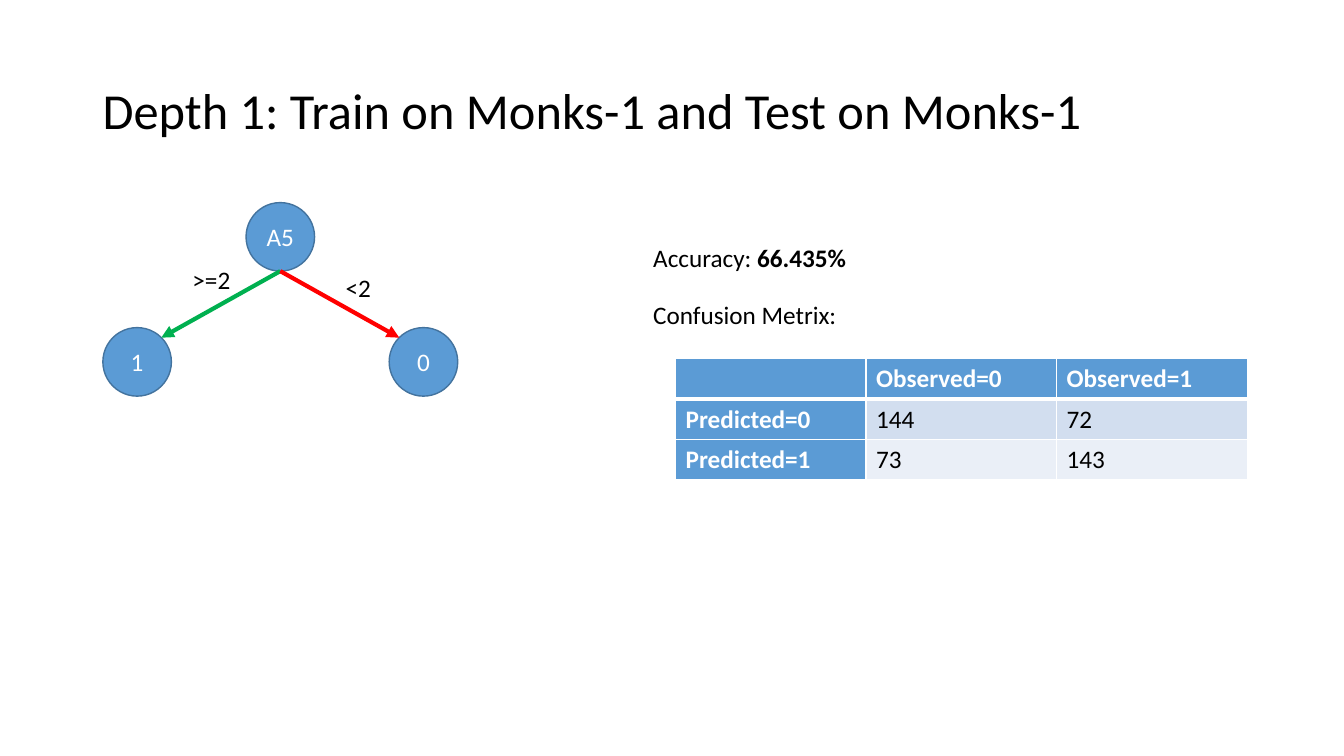
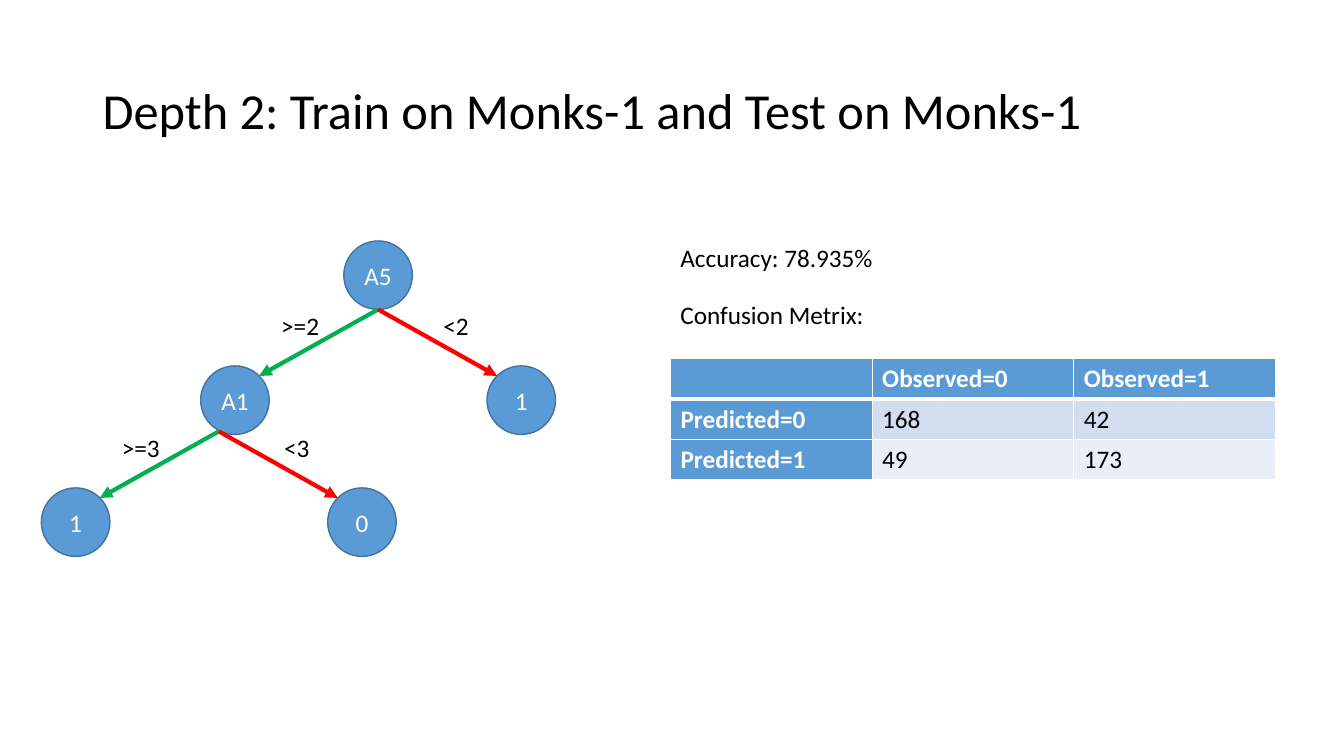
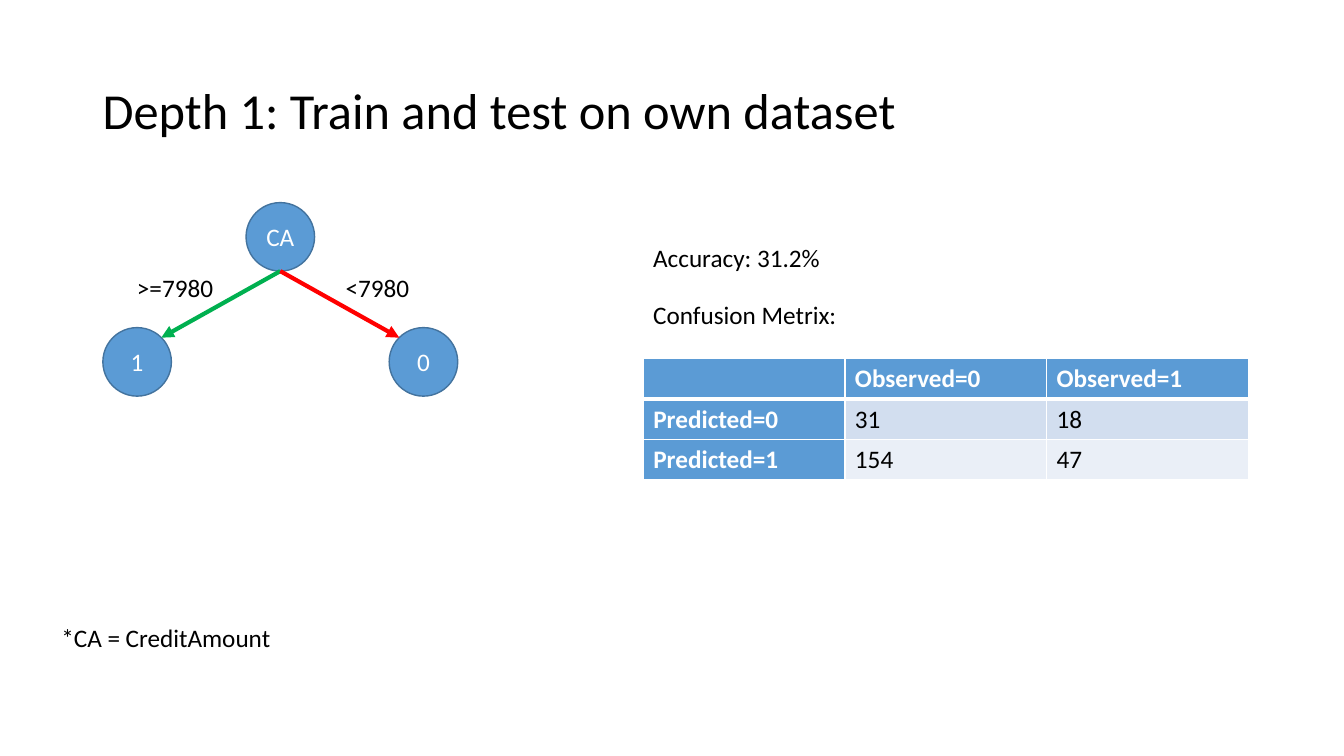
from lxml import etree
from pptx import Presentation, util as u
from pptx.dml.color import RGBColor
from pptx.enum import shapes, text
from pptx.oxml import ns

# Shared style
BLUE = RGBColor(0x5B, 0x9B, 0xD5)
OUTLINE = RGBColor(0x43, 0x73, 0x9E)
GREEN = RGBColor(0x00, 0xB0, 0x50)
RED = RGBColor(0xFF, 0x00, 0x00)
WHITE = RGBColor(0xFF, 0xFF, 0xFF)
BLACK = RGBColor(0x00, 0x00, 0x00)
BANDS = [RGBColor(0xD2, 0xDE, 0xEF), RGBColor(0xEA, 0xEF, 0xF7)]
FONT = "Calibri"
NODE = 0.68
BODY = {"size": u.Pt(18), "name": FONT, "bold": False}
HEAD = {"size": u.Pt(18), "name": FONT, "bold": True}
TITLE = {"size": u.Pt(36), "name": FONT, "bold": False}


class Deck:
    def __init__(self):
        self.prs = Presentation()
        self.prs.slide_width = u.Inches(13.33)
        self.prs.slide_height = u.Inches(7.5)
        self.s = None

    def run(self, p, words, fmt=BODY, color=BLACK):
        r = p.add_run()
        r.text = words
        for key, value in fmt.items():
            setattr(r.font, key, value)
        r.font.color.rgb = color

    def slide(self, title):
        self.s = self.prs.slides.add_slide(self.prs.slide_layouts[6])
        sp = self.s.shapes.add_textbox(*map(u.Inches, (0.92, 0.4, 11.5, 1.45)))
        tf = sp.text_frame
        tf.word_wrap = True
        tf.vertical_anchor = text.MSO_ANCHOR.MIDDLE
        tf.paragraphs[0].line_spacing = 0.9
        self.run(tf.paragraphs[0], title, TITLE)

    def label(self, x, y, w, *parts, wrap=False):
        """Parts are (words, format) pairs on one line."""
        sp = self.s.shapes.add_textbox(*map(u.Inches, (x, y, w, 0.4)))
        tf = sp.text_frame
        tf.word_wrap = wrap
        tf.auto_size = text.MSO_AUTO_SIZE.SHAPE_TO_FIT_TEXT
        for words, fmt in parts:
            self.run(tf.paragraphs[0], words, fmt)

    def node(self, x, y, words):
        sp = self.s.shapes.add_shape(shapes.MSO_SHAPE.OVAL,
                                     *map(u.Inches, (x, y, NODE, NODE)))
        sp.shadow.inherit = False
        sp.fill.solid()
        sp.fill.fore_color.rgb = BLUE
        sp.line.color.rgb = OUTLINE
        sp.line.width = u.Pt(1)
        tf = sp.text_frame
        tf.word_wrap = False
        tf.vertical_anchor = text.MSO_ANCHOR.MIDDLE
        tf.paragraphs[0].alignment = text.PP_ALIGN.CENTER
        self.run(tf.paragraphs[0], words, color=WHITE)

    def arrow(self, x1, y1, x2, y2, color):
        c = self.s.shapes.add_connector(shapes.MSO_CONNECTOR.STRAIGHT,
                                        *map(u.Inches, (x1, y1, x2, y2)))
        c.line.color.rgb = color
        c.line.width = u.Pt(3)
        etree.SubElement(c.line._get_or_add_ln(), ns.qn("a:tailEnd"),
                         type="triangle")
        etree.SubElement(c._element.spPr, ns.qn("a:effectLst"))

    def branch(self, x, y, leaves, high, low, root=None):
        """Split a node at point (x, y); high and low are (words, width)."""
        if root:
            self.node(x - NODE / 2, y - NODE, root)
        for dx, leaf in zip((-1.76, 1.08), leaves):
            self.node(x + dx, y + 0.56, leaf)
        for dx, color in ((-1.18, GREEN), (1.18, RED)):
            self.arrow(x, y, x + dx, y + 0.66, color)
        words, width, dx, dy = high
        self.label(x + dx, y + dy, width, (words, BODY), wrap=width > 1)
        words, width = low
        self.label(x + 0.55, y - 0.04, width, (words, BODY))

    def border(self, cell, **widths):
        tc_pr = cell._tc.get_or_add_tcPr()
        for side in "LRTB":
            ln = etree.SubElement(tc_pr, ns.qn("a:ln" + side),
                                  w=str(u.Pt(widths.get(side, 1))))
            fill = etree.SubElement(ln, ns.qn("a:solidFill"))
            etree.SubElement(fill, ns.qn("a:srgbClr"), val=str(WHITE))

    def results(self, x, accuracy, width, counts, table_x, col_w):
        self.label(x, 2.35, width, *accuracy)
        self.label(x, 2.92, 2.04, ("Confusion Metrix:", BODY))
        rows = [["", "Observed=0", "Observed=1"]]
        rows += [[f"Predicted={i}", *row] for i, row in enumerate(counts)]
        table = self.s.shapes.add_table(
            3, 3, *map(u.Inches, (table_x, 3.56, 3 * col_w, 1.2))).table
        table.horz_banding = False
        for col in table.columns:
            col.width = u.Inches(col_w)
        for i, row in enumerate(rows):
            table.rows[i].height = u.Inches(0.4)
            for j, value in enumerate(row):
                cell = table.cell(i, j)
                head = i == 0 or j == 0
                self.border(cell, B=3 if i == 0 else 1, T=3 if i == 1 else 1)
                cell.fill.solid()
                cell.fill.fore_color.rgb = BLUE if head else BANDS[i - 1]
                if value != "":
                    self.run(cell.text_frame.paragraphs[0], str(value),
                             HEAD if head else BODY, WHITE if head else BLACK)


deck = Deck()

# Monks-1, depth 1
deck.slide("Depth 1: Train on Monks-1 and Test on Monks-1")
deck.branch(2.78, 2.69, "10", (">=2", 0.58, -0.97, -0.12), ("<2", 0.46), "A5")
deck.results(6.38, [("Accuracy: ", BODY), ("66.435% ", HEAD)], 2.19,
             [(144, 72), (73, 143)], 6.7, 1.89)

# Monks-1, depth 2
deck.slide("Depth 2: Train on Monks-1 and Test on Monks-1")
deck.branch(3.75, 3.07, ("A1", "1"), (">=2", 0.58, -1.06, -0.04),
            ("<2", 0.46), "A5")
deck.branch(2.17, 4.28, "10", (">=3", 0.58, -1.06, -0.04), ("<3", 0.46))
deck.results(6.65, [("Accuracy: 78.935% ", BODY)], 2.19,
             [(168, 42), (49, 173)], 6.65, 2)

# Own dataset, depth 1
deck.slide("Depth 1: Train and test on own dataset")
deck.branch(2.78, 2.69, "10", (">=7980", 1.04, -1.52, -0.04),
            ("<7980", 0.84), "CA")
deck.results(6.38, [("Accuracy: 31.2% ", BODY)], 1.93,
             [(31, 18), (154, 47)], 6.38, 2)
deck.label(0.51, 6.12, 2.3, ("*CA = CreditAmount", BODY))

deck.prs.save("out.pptx")
